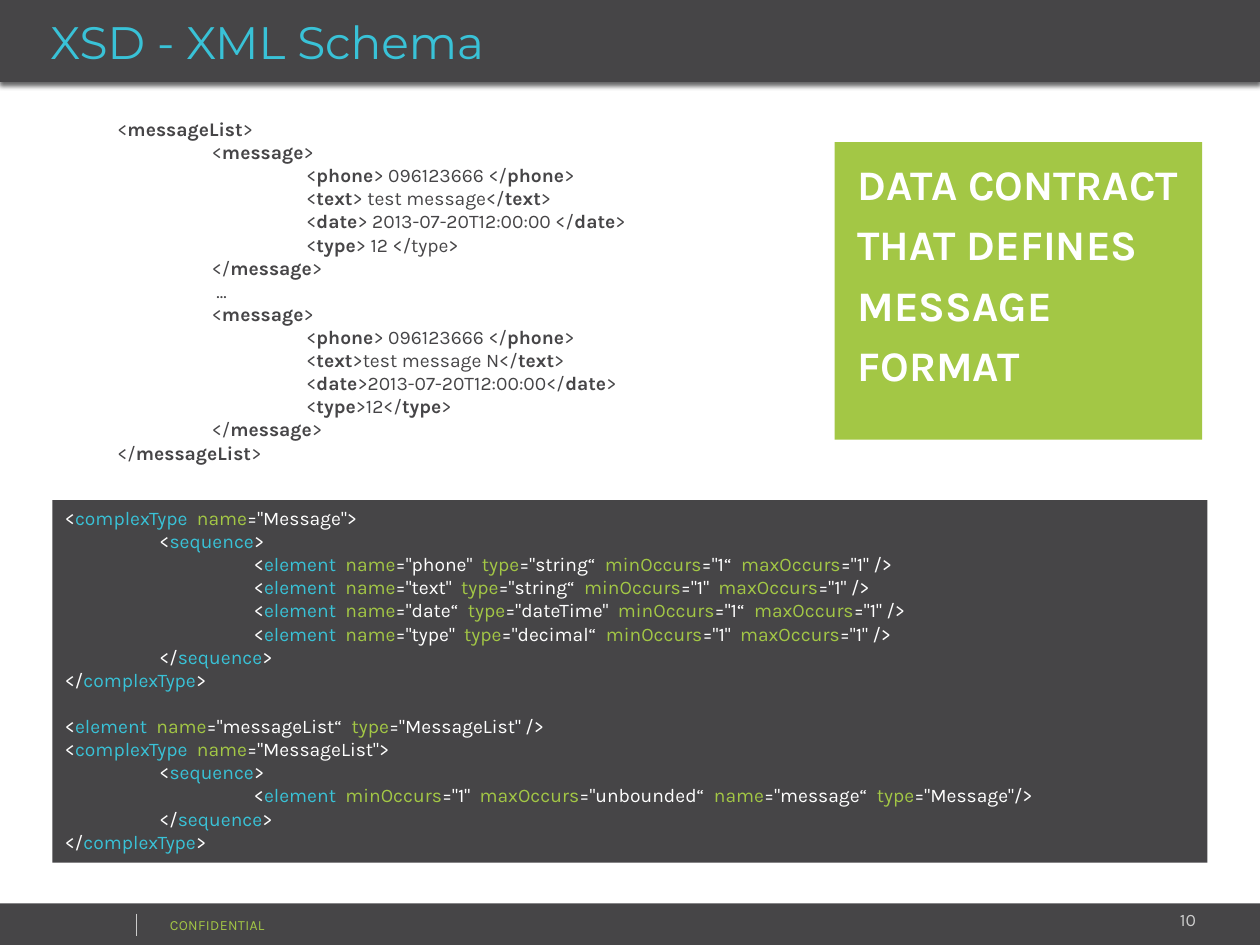
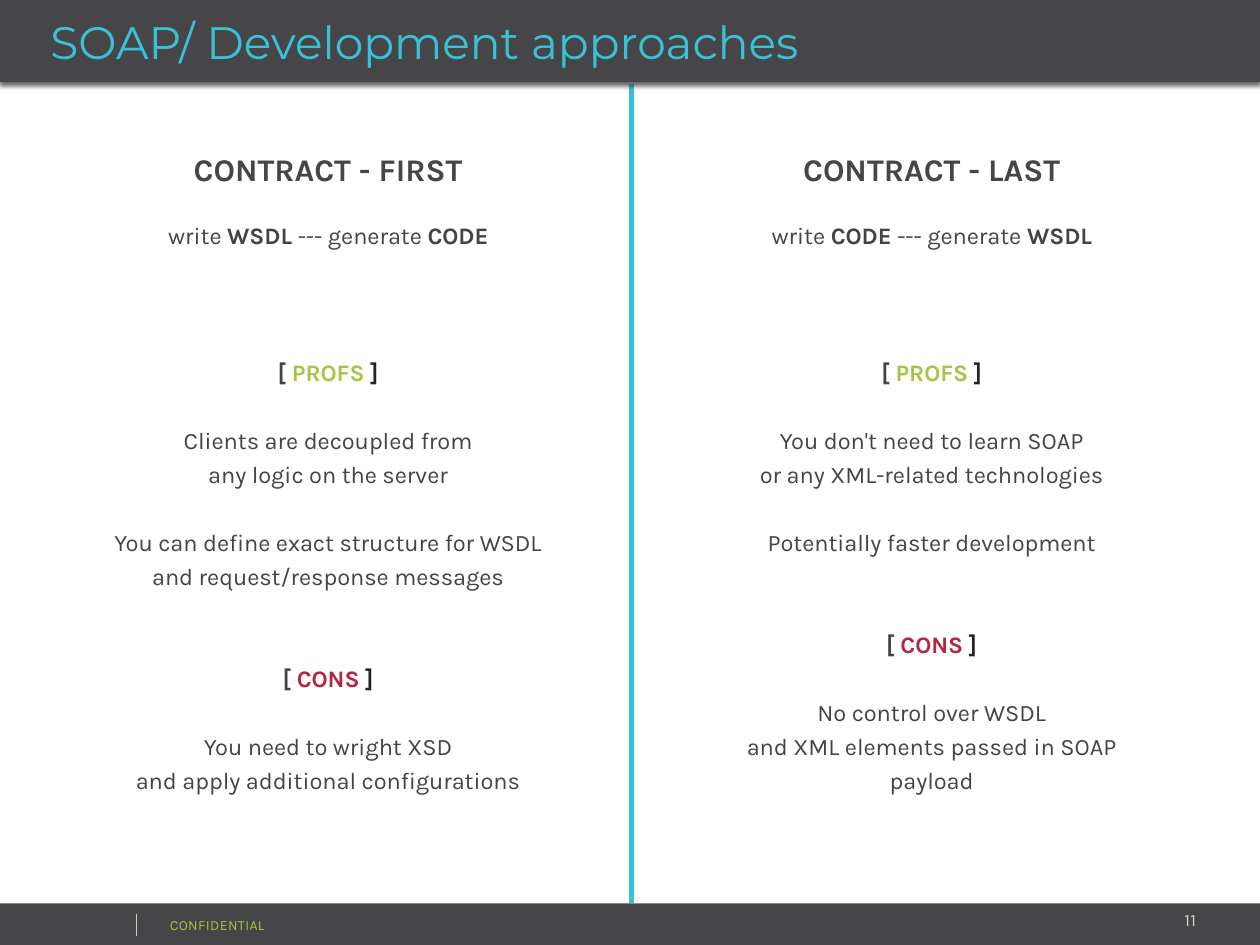
"""Build two slides on XML Schema and on SOAP development approaches."""
from dataclasses import dataclass

from lxml.etree import SubElement
from pptx import Presentation
from pptx.dml.color import RGBColor
from pptx.enum.shapes import MSO_CONNECTOR, MSO_SHAPE
from pptx.enum.text import MSO_ANCHOR, PP_ALIGN
from pptx.oxml.ns import qn
from pptx.util import Pt

FOOTER_LABEL = "CONFIDENTIAL"

SCHEMA_TITLE = "XSD - XML Schema"
CONTRACT_LINES = ["DATA CONTRACT", "THAT DEFINES", "MESSAGE", "FORMAT"]

MESSAGE_XML = [
    (0, "<*messageList*>"),
    (1, "<*message*>"),
    (2, "<*phone*> 096123666 </*phone*>"),
    (2, "<*text*> test message</*text*>"),
    (2, "<*date*> 2013-07-20T12:00:00 </*date*>"),
    (2, "<*type*> 12 </type>"),
    (1, "</*message*>"),
    (1, " ..."),
    (1, "<*message*>"),
    (2, "<*phone*> 096123666 </*phone*>"),
    (2, "<*text*>test message N</*text*>"),
    (2, "<*date*>2013-07-20T12:00:00</*date*>"),
    (2, "<*type*>12</*type*>"),
    (1, "</*message*>"),
    (0, "</*messageList*>"),
]

SCHEMA_BLOCKS = [
    [
        (0, "<", "complexType", ['name="Message"'], ">"),
        (1, "<", "sequence", [], ">"),
        (2, "<", "element", ['name="phone"', 'type="string“', 'minOccurs="1“', 'maxOccurs="1"'], " />"),
        (2, "<", "element", ['name="text"', 'type="string“', 'minOccurs="1"', 'maxOccurs="1"'], " />"),
        (2, "<", "element", ['name="date“', 'type="dateTime"', 'minOccurs="1“', 'maxOccurs="1"'], " />"),
        (2, "<", "element", ['name="type"', 'type="decimal“', 'minOccurs="1"', 'maxOccurs="1"'], " />"),
        (1, "</", "sequence", [], ">"),
        (0, "</", "complexType", [], ">"),
    ],
    [
        (0, "<", "element", ['name="messageList“', 'type="MessageList"'], " />"),
        (0, "<", "complexType", ['name="MessageList"'], ">"),
        (1, "<", "sequence", [], ">"),
        (2, "<", "element", ['minOccurs="1"', 'maxOccurs="unbounded“', 'name="message“', 'type="Message"'], "/>"),
        (1, "</", "sequence", [], ">"),
        (0, "</", "complexType", [], ">"),
    ],
]

APPROACHES_TITLE = "SOAP/ Development approaches"
APPROACHES = [
    {
        "heading": "CONTRACT - FIRST",
        "flow": "write *WSDL* --- generate *CODE*",
        "PROFS": [
            ["Clients are decoupled from", "any logic on the server"],
            ["You can define exact structure for WSDL and request/response messages"],
        ],
        "CONS": [["You need to wright XSD", "and apply additional configurations"]],
        "height": 301.7,
    },
    {
        "heading": "CONTRACT - LAST",
        "flow": "write *CODE* --- generate *WSDL*",
        "PROFS": [
            ["You don't need to learn SOAP", "or any XML-related technologies"],
            ["Potentially faster development"],
        ],
        "CONS": [["No control over WSDL", "and XML elements passed in SOAP payload"]],
        "height": 282.2,
    },
]


@dataclass(frozen=True)
class Theme:
    """Colours, fonts and type sizes of the deck."""
    dark: str = "464547"
    ink: str = "444444"
    black: str = "232324"
    white: str = "FFFFFF"
    pale: str = "CCCCCC"
    green: str = "A3C745"
    cyan: str = "39C2D7"
    red: str = "B22746"
    body_font: str = "Karla"
    title_font: str = "Montserrat"
    title: float = 26
    callout: float = 24
    heading: float = 18
    body: float = 13.5
    code: float = 11
    page: float = 10
    footer: float = 8


T = Theme()
WIDTH, HEIGHT = 720, 540
BAND_HEIGHT = 46.8
FOOTER_TOP = 516.2
INDENT = 54
LINE_RATIO = 1.2
COLUMN_STEP = 344.9
LABEL_COLOURS = {"PROFS": T.green, "CONS": T.red}


def colour(code):
    return RGBColor.from_string(code)


def emphasised(text, tint):
    """Split text on asterisks into plain and bold runs."""
    return [(part, tint, i % 2 == 1) for i, part in enumerate(text.split("*")) if part]


def add_panel(slide, left, top, width, height, fill):
    panel = slide.shapes.add_shape(MSO_SHAPE.RECTANGLE, Pt(left), Pt(top), Pt(width), Pt(height))
    panel.shadow.inherit = False
    panel.fill.solid()
    panel.fill.fore_color.rgb = colour(fill)
    panel.line.fill.background()
    return panel


def add_box(slide, left, top, width, height):
    return slide.shapes.add_textbox(Pt(left), Pt(top), Pt(width), Pt(height))


def add_rule(slide, x, top, bottom, tint, weight):
    rule = slide.shapes.add_connector(MSO_CONNECTOR.STRAIGHT, Pt(x), Pt(top), Pt(x), Pt(bottom))
    rule.line.color.rgb = colour(tint)
    rule.line.width = Pt(weight)
    SubElement(rule._element.spPr, qn("a:effectLst"))


def write(shape, lines, size, font=T.body_font, align=PP_ALIGN.LEFT, anchor=MSO_ANCHOR.TOP,
          spacing=None, tracking=None):
    """Fill a shape with (runs, gap before, indent depth) lines."""
    frame = shape.text_frame
    frame.word_wrap = True
    frame.vertical_anchor = anchor
    for i, (runs, gap, depth) in enumerate(lines):
        paragraph = frame.add_paragraph() if i else frame.paragraphs[0]
        paragraph.alignment = align
        if depth:
            paragraph._p.get_or_add_pPr().set("marL", str(Pt(depth * INDENT)))
        if spacing:
            paragraph.line_spacing = spacing
        if gap:
            paragraph.space_before = Pt(gap)
        for text, tint, bold in runs:
            run = paragraph.add_run()
            run.text = text
            run.font.name = font
            run.font.size = Pt(size)
            run.font.bold = bold
            run.font.color.rgb = colour(tint)
            if tracking:
                run._r.get_or_add_rPr().set("spc", str(tracking))


def add_footer(slide, number):
    add_panel(slide, 0, FOOTER_TOP, WIDTH, HEIGHT - FOOTER_TOP, T.dark)
    write(add_box(slide, 573.1, FOOTER_TOP, 117.4, 19.4), [([(str(number), T.pale, False)], 0, 0)],
          T.page, align=PP_ALIGN.RIGHT)
    write(add_box(slide, 90, 519.9, 182, 17), [([(FOOTER_LABEL, T.green, False)], 0, 0)],
          T.footer, anchor=MSO_ANCHOR.MIDDLE, tracking=20)
    add_rule(slide, 78, 522, 535, T.pale, 0.25)


def add_title(slide, title):
    band = add_panel(slide, 0, 0, WIDTH, BAND_HEIGHT, T.dark)
    effects = band._element.spPr.find(qn("a:effectLst"))
    shadow = SubElement(effects, qn("a:outerShdw"), blurRad=str(Pt(3)), dist=str(Pt(2)),
                        dir="5400000", algn="t", rotWithShape="0")
    tint = SubElement(shadow, qn("a:srgbClr"), val=T.black)
    SubElement(tint, qn("a:alpha"), val="70000")
    band.text_frame.margin_left = Pt(28.8)
    write(band, [([(title, T.cyan, False)], 0, 0)], T.title, T.title_font, anchor=MSO_ANCHOR.MIDDLE)


def schema_runs(opening, tag, attributes, closing):
    runs = [(opening, T.white, False), (tag + ("  " if attributes else ""), T.cyan, False)]
    for i, attribute in enumerate(attributes, 1):
        name, _, value = attribute.partition("=")
        ending = closing if i == len(attributes) else "  "
        runs += [(name, T.green, False), ("=" + value + ending, T.white, False)]
    return runs if attributes else runs + [(closing, T.white, False)]


def build_schema(slide):
    add_title(slide, SCHEMA_TITLE)
    callout = add_panel(slide, 477, 81.2, 210, 170, T.green)
    callout.text_frame.margin_left = Pt(13)
    callout.text_frame.margin_right = Pt(0)
    write(callout, [([(line, T.white, True)], 0, 0) for line in CONTRACT_LINES],
          T.callout, spacing=1.2)
    write(add_box(slide, 60, 63.4, 360, 207.4),
          [(emphasised(text, T.dark), 0, depth) for depth, text in MESSAGE_XML], T.code)
    schema_lines = [
        (schema_runs(*parts), T.code * LINE_RATIO if b and not i else 0, depth)
        for b, block in enumerate(SCHEMA_BLOCKS) for i, (depth, *parts) in enumerate(block)
    ]
    write(add_panel(slide, 30, 285.8, 660, 207.2, T.dark), schema_lines, T.code)


def argument_lines(approach):
    blank = T.body * LINE_RATIO * 1.2
    lines = []
    for label, tint in LABEL_COLOURS.items():
        runs = [("[ ", T.ink, True), (label + " ", tint, True), ("]", T.black, True)]
        lines.append((runs, 2 * blank if lines else 0, 0))
        for point in approach[label]:
            lines += [([(text, T.ink, False)], 0 if i else blank, 0) for i, text in enumerate(point)]
    return lines


def build_approaches(slide):
    for column, approach in enumerate(APPROACHES):
        shift = column * COLUMN_STEP
        centred = {"align": PP_ALIGN.CENTER, "spacing": 1.2}
        write(add_box(slide, 36 + shift, 77.8, 303, 31),
              [([(approach["heading"], T.dark, True)], 0, 0)], T.heading, **centred)
        write(add_box(slide, 34.6 + shift, 119.2, 306, 26),
              [(emphasised(approach["flow"], T.ink), 0, 0)], T.body, **centred)
        write(add_box(slide, 55.4 + shift, 198, 264.2, approach["height"]),
              argument_lines(approach), T.body, **centred)
    add_rule(slide, 360.7, 48.2, FOOTER_TOP, T.cyan, 3)
    add_title(slide, APPROACHES_TITLE)


def main():
    deck = Presentation()
    deck.slide_width, deck.slide_height = Pt(WIDTH), Pt(HEIGHT)
    for number, build in enumerate((build_schema, build_approaches), 10):
        slide = deck.slides.add_slide(deck.slide_layouts[6])
        add_footer(slide, number)
        build(slide)
    deck.save("out.pptx")


if __name__ == "__main__":
    main()
